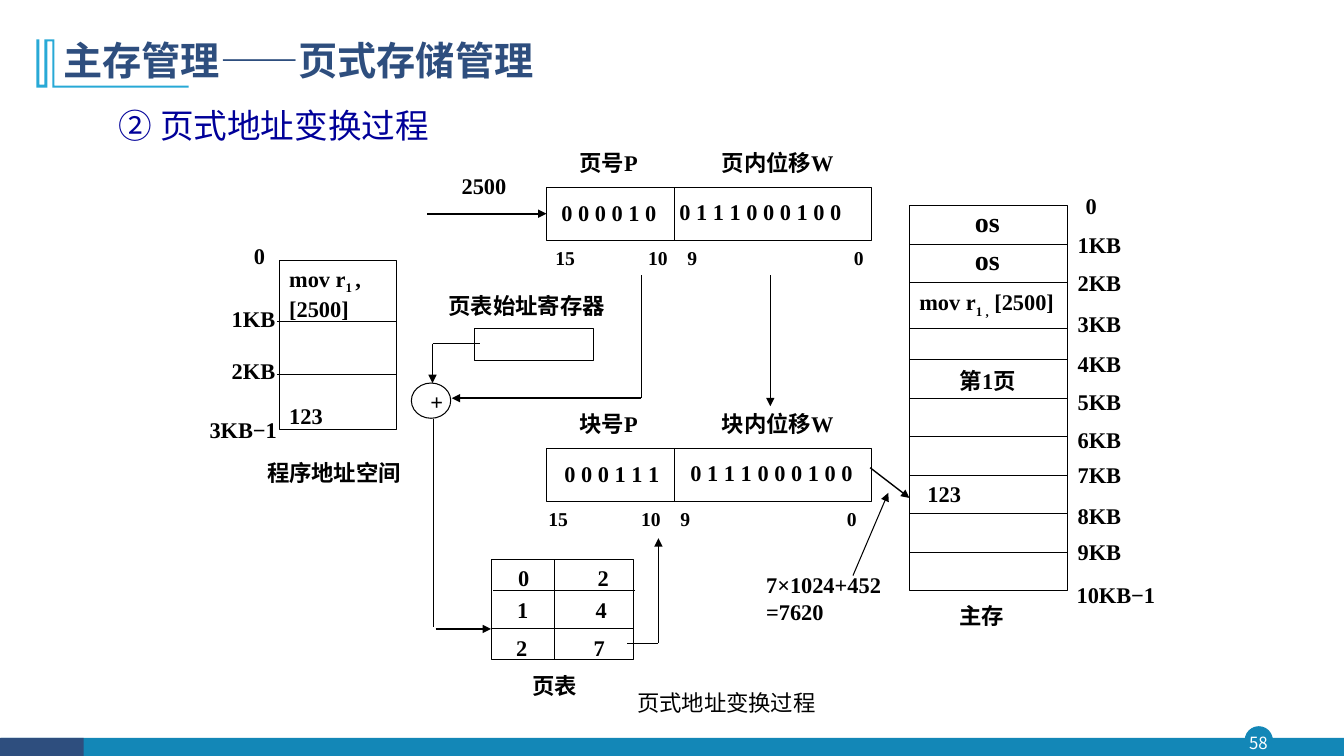
from pptx import Presentation
from pptx.dml.color import RGBColor
from pptx.enum.shapes import MSO_CONNECTOR as Link, MSO_SHAPE as Kind
from pptx.enum.text import MSO_ANCHOR as Anchor, MSO_AUTO_SIZE as Fit, PP_ALIGN as Align
from pptx.oxml.ns import qn
from pptx.util import Inches, Pt
from lxml.etree import SubElement as Sub

BLACK = RGBColor(0x00, 0x00, 0x00)
WHITE = RGBColor(0xFF, 0xFF, 0xFF)
NAVY = RGBColor(0x2E, 0x4E, 0x7E)
TEAL = RGBColor(0x13, 0x87, 0xB7)
SKY = RGBColor(0x28, 0xA9, 0xD6)
BLUE = RGBColor(0x00, 0x00, 0x99)
SERIF = "Times New Roman"
SANS = "Noto Sans CJK SC"


def write(frame, text, size=16, color=BLACK, bold=True, font=SERIF,
          align=Align.LEFT, space=1.0, gap=0, tabs=(), hang=0):
    frame.word_wrap = True
    frame.auto_size = Fit.NONE
    for row, line in enumerate(text.split("\n")):
        para = frame.paragraphs[0] if row == 0 else frame.add_paragraph()
        para.alignment = align
        para.line_spacing = space
        para.space_before = Pt(gap if row > 1 else 0)
        props = para._p.get_or_add_pPr()
        if hang:
            props.set("marL", str(Inches(hang)))
            props.set("indent", str(-Inches(hang)))
            Sub(props, qn("a:buNone"))
        if tabs:
            stops = Sub(props, qn("a:tabLst"))
            for stop in tabs:
                Sub(stops, qn("a:tab"), pos=str(Inches(stop)), algn="l")
        for spot, part in enumerate(line.split("~")):
            run = para.add_run()
            run.text = part
            run.font.size = Pt(size)
            run.font.bold = bold
            run.font.name = font
            run.font.color.rgb = color
            mark = run._r.get_or_add_rPr()
            Sub(mark, qn("a:ea"), typeface=SANS)
            if spot % 2:
                mark.set("baseline", "-25000")


def label(slide, text, x, y, w, h, **form):
    box = slide.shapes.add_textbox(Inches(x), Inches(y), Inches(w), Inches(h))
    write(box.text_frame, text, **form)
    return box


def shape(slide, x, y, w, h, kind=Kind.RECTANGLE, fill=None, edge=BLACK):
    item = slide.shapes.add_shape(kind, Inches(x), Inches(y), Inches(w), Inches(h))
    item.shadow.inherit = False
    if fill is None:
        item.fill.background()
    else:
        item.fill.solid()
        item.fill.fore_color.rgb = fill
    item.line.color.rgb = edge
    item.line.width = Pt(0.75)
    return item


def line(slide, x1, y1, x2, y2, width=0.75, arrow=False):
    link = slide.shapes.add_connector(
        Link.STRAIGHT, Inches(x1), Inches(y1), Inches(x2), Inches(y2))
    link.line.color.rgb = BLACK
    link.line.width = Pt(width)
    if arrow:
        Sub(link.line._get_or_add_ln(), qn("a:tailEnd"), type="triangle")
    Sub(link._element.spPr, qn("a:effectLst"))


def place(item, x, y, w, h):
    item.left, item.top = Inches(x), Inches(y)
    item.width, item.height = Inches(w), Inches(h)


def frame(slide):
    shape(slide, 12.35, 7.21, 0.27, 0.27, Kind.OVAL, TEAL, TEAL)
    for x, w, tint in ((0.01, 13.32, TEAL), (0, 0.83, NAVY)):
        shape(slide, x, 7.32, w, 0.19, fill=tint).line.fill.background()
    page = label(slide, "58", 12.32, 7.21, 0.32, 0.31, size=12, color=WHITE,
                 bold=False, font=SANS, align=Align.CENTER).text_frame
    page.vertical_anchor = Anchor.MIDDLE
    page.margin_left = page.margin_right = page.margin_top = page.margin_bottom = 0
    path = slide.shapes.build_freeform(54, 39, scale=Inches(0.01))
    path.add_line_segments(
        [(54, 85), (187, 85), (187, 87), (52, 87), (52, 41), (47, 41), (47, 87),
         (36, 87), (36, 39), (39, 39), (39, 84), (44, 84), (44, 39)], close=True)
    logo = path.convert_to_shape()
    logo.shadow.inherit = False
    logo.fill.solid()
    logo.fill.fore_color.rgb = SKY
    logo.line.fill.background()


def heads(slide):
    title, body = slide.placeholders
    place(title, 0.53, 0.34, 10.49, 0.56)
    write(title.text_frame, "主存管理——页式存储管理", size=28, color=NAVY,
          font=SANS, space=0.9)
    title.text_frame.vertical_anchor = Anchor.MIDDLE
    place(body, 1.08, 0.91, 5.48, 0.58)
    write(body.text_frame, "② 页式地址变换过程", size=24, color=BLUE, bold=False,
          space=1.2, hang=0.58)


def space(slide):
    box = shape(slide, 2.77, 2.58, 1.16, 1.68).text_frame
    box.vertical_anchor = Anchor.TOP
    write(box, "mov r~1 ~,\n[2500]\n123", gap=57)
    for y in (3.19, 3.72):
        line(slide, 2.75, y, 3.93, y)
    for text, x, y, w in (("0", 2.42, 2.35, 0.33), ("1KB", 2.2, 2.98, 0.75),
                          ("2KB", 2.2, 3.49, 0.75), ("3KB−1", 1.98, 4.08, 0.88)):
        label(slide, text, x, y, w, 0.32)
    label(slide, "程序地址空间", 2.55, 4.51, 1.69, 0.37)


def word(slide, top, name, page, shift, start, left):
    shape(slide, 5.42, top, 3.22, 0.53)
    line(slide, 6.69, top, 6.69, top + 0.53)
    label(slide, name + "号P", 5.65, top - 0.43, 0.86, 0.37)
    label(slide, name + "内位移W", 7.06, top - 0.43, 1.41, 0.37)
    label(slide, page, start, top + 0.07, 1.22, 0.37)
    label(slide, "0 1 1 1 0 0 0 1 0 0", shift, top + 0.06, 1.92, 0.37)
    label(slide, "15\t10\t9\t0", left, top + 0.53, 3.45, 0.33, size=14,
          tabs=(0.92, 1.31, 2.96))


def adder(slide):
    label(slide, "页表始址寄存器", 4.35, 2.85, 1.82, 0.37)
    shape(slide, 4.71, 3.26, 1.18, 0.32)
    shape(slide, 4.08, 3.8, 0.39, 0.35, Kind.OVAL)
    label(slide, "+", 4.17, 3.8, 0.3, 0.26)
    label(slide, "2500", 4.48, 1.66, 0.79, 0.37)


def table(slide):
    shape(slide, 4.87, 5.55, 1.41, 0.99)
    line(slide, 4.89, 5.86, 6.3, 5.86)
    line(slide, 4.87, 6.24, 6.28, 6.24)
    line(slide, 5.5, 5.55, 5.5, 6.54)
    rows = (("0", "2", 5.55), ("1", "4", 5.86), ("2", "7", 6.24))
    for row, (page, block, y) in enumerate(rows):
        label(slide, page, 5.04 - 0.01 * row, y, 0.34, 0.29)
        label(slide, block, 5.83 - 0.02 * row, y, 0.34, 0.29)
    label(slide, "页表", 5.18, 6.62, 0.71, 0.36)


def store(slide):
    top, step = 2.04, 0.382
    shape(slide, 9.02, top, 1.57, 10 * step)
    for row in range(1, 10):
        y = 3.26 if row == 3 else top + row * step
        line(slide, 9.02, y, 10.59, y)
    tops = (2.24, 2.62, 3.03, 3.42, 3.8, 4.18, 4.53, 4.93, 5.29)
    label(slide, "0", 10.67, 1.86, 0.33, 0.29)
    for size, y in enumerate(tops, 1):
        label(slide, f"{size}KB", 10.59, y, 0.7, 0.34)
    label(slide, "10KB−1", 10.58, 5.72, 0.99, 0.34)
    for y in (top, top + step):
        label(slide, "os", 9.57, y, 0.63, 0.29, size=20, space=0.8)
    label(slide, "mov r~1 ,~ [2500]", 9.02, 2.81, 1.72, 0.46)
    label(slide, "第1页", 9.42, 3.59, 1.02, 0.44)
    label(slide, "123", 9.1, 4.71, 0.71, 0.36)
    label(slide, "主存", 9.42, 5.92, 0.94, 0.37)


def flow(slide):
    for ends in ((6.36, 2.73, 6.36, 3.95), (4.29, 3.41, 4.76, 3.41),
                 (4.3, 4.16, 4.3, 6.22), (6.22, 6.38, 6.53, 6.38)):
        line(slide, *ends)
    for ends in ((6.36, 3.95, 4.48, 3.95), (4.29, 3.41, 4.29, 3.8),
                 (4.32, 6.24, 4.87, 6.24), (8.63, 4.64, 9.02, 4.94),
                 (6.53, 6.38, 6.53, 5.34)):
        line(slide, *ends, width=1, arrow=True)
    for ends in ((7.64, 2.73, 7.64, 4.03), (8.46, 5.71, 8.81, 4.89)):
        line(slide, *ends, arrow=True)
    line(slide, 4.24, 2.12, 5.42, 2.12, width=1.5, arrow=True)


def main():
    deck = Presentation()
    deck.slide_width, deck.slide_height = Inches(13.33), Inches(7.5)
    slide = deck.slides.add_slide(deck.slide_layouts[1])
    frame(slide)
    heads(slide)
    space(slide)
    word(slide, 1.86, "页", "0 0 0 0 1 0", 6.64, 5.47, 5.41)
    word(slide, 4.45, "块", "0 0 0 1 1 1", 6.75, 5.5, 5.34)
    adder(slide)
    table(slide)
    store(slide)
    flow(slide)
    label(slide, "7×1024+452\n=7620", 7.5, 5.62, 1.52, 0.64)
    label(slide, "页式地址变换过程", 6.22, 6.79, 2.49, 0.37, bold=False)
    deck.save("out.pptx")


if __name__ == "__main__":
    main()
